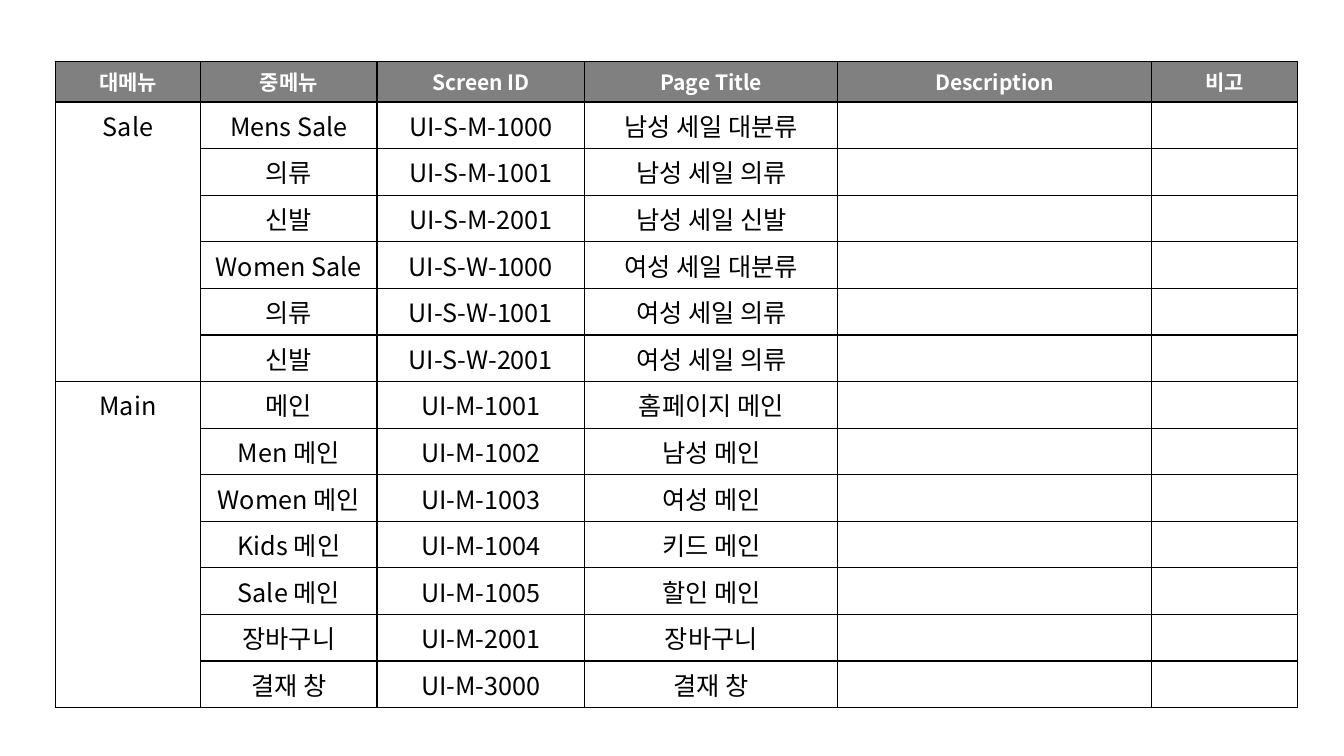
from dataclasses import dataclass

from lxml.etree import SubElement
from pptx import Presentation
from pptx.dml.color import RGBColor
from pptx.enum.text import PP_ALIGN
from pptx.oxml.ns import qn
from pptx.util import Inches, Pt


@dataclass(frozen=True)
class Theme:
    font: str = "Noto Sans CJK KR"
    header_fill: str = "808080"
    header_text: str = "FFFFFF"
    body_fill: str = "FFFFFF"
    body_text: str = "000000"
    border: str = "000000"
    header_size: int = 15
    body_size: int = 18
    border_width: int = 1


THEME = Theme()
HEADERS = ["대메뉴", "중메뉴", "Screen ID", "Page Title", "Description", "비고"]
COLUMN_WIDTHS = [1.44, 1.75, 2.06, 2.51, 3.11, 1.45]
HEADER_HEIGHT = 0.4
BODY_HEIGHT = 0.46
MENUS = {
    "Sale": [
        ("Mens Sale", "UI-S-M-1000", "남성 세일 대분류"),
        ("의류", "UI-S-M-1001", "남성 세일 의류"),
        ("신발", "UI-S-M-2001", "남성 세일 신발"),
        ("Women Sale", "UI-S-W-1000", "여성 세일 대분류"),
        ("의류", "UI-S-W-1001", "여성 세일 의류"),
        ("신발", "UI-S-W-2001", "여성 세일 의류"),
    ],
    "Main": [
        ("메인", "UI-M-1001", "홈페이지 메인"),
        ("Men 메인", "UI-M-1002", "남성 메인"),
        ("Women 메인", "UI-M-1003", "여성 메인"),
        ("Kids 메인", "UI-M-1004", "키드 메인"),
        ("Sale 메인", "UI-M-1005", "할인 메인"),
        ("장바구니", "UI-M-2001", "장바구니"),
        ("결재 창", "UI-M-3000", "결재 창"),
    ],
}


def add_borders(cell):
    properties = cell._tc.get_or_add_tcPr()
    for side in ("a:lnL", "a:lnR", "a:lnT", "a:lnB"):
        line = SubElement(properties, qn(side), w=str(Pt(THEME.border_width)))
        fill = SubElement(line, qn("a:solidFill"))
        SubElement(fill, qn("a:srgbClr"), val=THEME.border)


def style_cell(cell, is_header):
    add_borders(cell)
    cell.fill.solid()
    cell.fill.fore_color.rgb = RGBColor.from_string(
        THEME.header_fill if is_header else THEME.body_fill
    )


def write_cell(cell, text, is_header=False):
    paragraph = cell.text_frame.paragraphs[0]
    paragraph.alignment = PP_ALIGN.CENTER
    run = paragraph.add_run()
    run.text = text
    run.font.name = THEME.font
    run.font.size = Pt(THEME.header_size if is_header else THEME.body_size)
    run.font.bold = is_header
    run.font.color.rgb = RGBColor.from_string(
        THEME.header_text if is_header else THEME.body_text
    )
    SubElement(run.font._element, qn("a:ea"), typeface=THEME.font)


def add_screen_table(slide, left, top):
    body_count = sum(len(screens) for screens in MENUS.values())
    height = HEADER_HEIGHT + body_count * BODY_HEIGHT
    table = slide.shapes.add_table(
        body_count + 1, len(HEADERS),
        Inches(left), Inches(top), Inches(sum(COLUMN_WIDTHS)), Inches(height),
    ).table
    table.first_row = False
    table.horz_banding = False

    for column, width in zip(table.columns, COLUMN_WIDTHS):
        column.width = Inches(width)
    for row_index, row in enumerate(table.rows):
        is_header = row_index == 0
        row.height = Inches(HEADER_HEIGHT if is_header else BODY_HEIGHT)
        for cell in row.cells:
            style_cell(cell, is_header)

    for column_index, header in enumerate(HEADERS):
        write_cell(table.cell(0, column_index), header, is_header=True)

    first_row = 1
    for menu, screens in MENUS.items():
        menu_cell = table.cell(first_row, 0)
        menu_cell.merge(table.cell(first_row + len(screens) - 1, 0))
        write_cell(menu_cell, menu)
        for row_index, screen in enumerate(screens, first_row):
            for column_index, text in enumerate(screen, 1):
                write_cell(table.cell(row_index, column_index), text)
        first_row += len(screens)


def main():
    presentation = Presentation()
    presentation.slide_width = Inches(13.33)
    presentation.slide_height = Inches(7.5)
    slide = presentation.slides.add_slide(presentation.slide_layouts[6])
    add_screen_table(slide, left=0.55, top=0.61)
    presentation.save("out.pptx")


if __name__ == "__main__":
    main()
